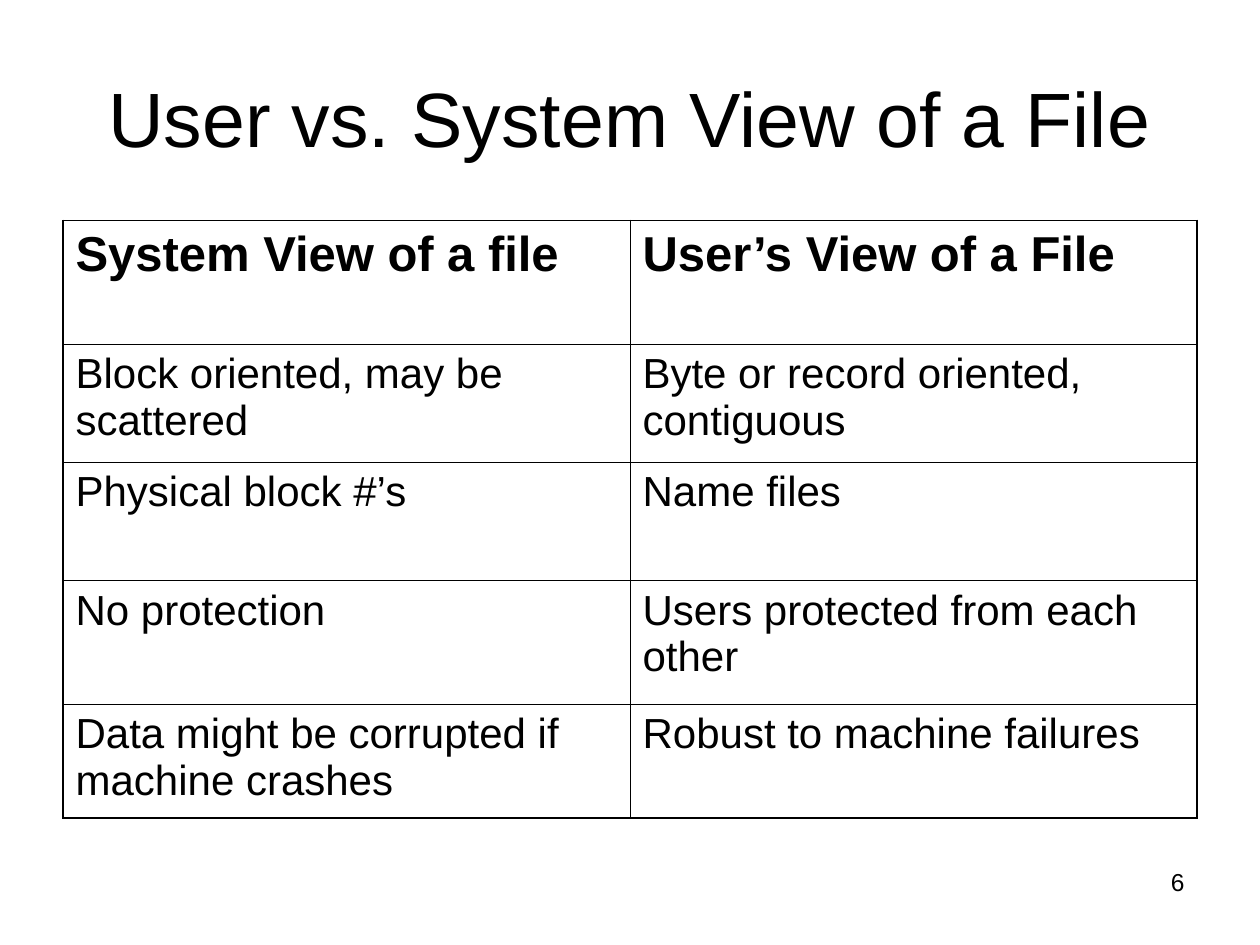
from lxml import etree
from pptx import Presentation
from pptx.dml.color import RGBColor
from pptx.enum.text import MSO_ANCHOR as ANCHOR, PP_ALIGN as ALIGN
from pptx.oxml.ns import qn
from pptx.util import Inches, Pt

BLACK = "000000"
THIN, THICK = 0.45, 1.08
ROW_HEIGHTS = [0.98, 0.94, 0.94, 0.98, 0.9]
VIEWS = [
    ("System View of a file", "User’s View of a File"),
    ("Block oriented, may be scattered", "Byte or record oriented, contiguous"),
    ("Physical block #’s", "Name files"),
    ("No protection", "Users protected from each other"),
    ("Data might be corrupted if machine crashes", "Robust to machine failures"),
]


def color(hex_value):
    return RGBColor.from_string(hex_value)


def write(tf, text, align=ALIGN.LEFT, **font):
    p = tf.paragraphs[0]
    p.alignment = align
    r = p.add_run()
    r.text = text
    for name, value in {"name": "Arial", **font}.items():
        setattr(r.font, name, value)
    r.font.color.rgb = color(BLACK)


def add_text(slide, box, text, size, align, anchor=ANCHOR.TOP):
    tf = slide.shapes.add_textbox(*map(Inches, box)).text_frame
    tf.word_wrap = True
    tf.vertical_anchor = anchor
    write(tf, text, align, size=Pt(size))


def set_borders(cell, widths):
    """Draw the sides of a cell; widths maps L, R, T, B, in that order, to points."""
    tc_pr = cell._tc.get_or_add_tcPr()
    for side, width in widths.items():
        ln = etree.SubElement(tc_pr, qn(f"a:ln{side}"), w=str(Pt(width)))
        fill = etree.SubElement(ln, qn("a:solidFill"))
        etree.SubElement(fill, qn("a:srgbClr"), val=BLACK)


def add_comparison(slide, box, rows, heights):
    """Add a table with a bold header, thick outer borders and thin inner ones."""
    n_rows, n_cols = len(rows), len(rows[0])
    table = slide.shapes.add_table(n_rows, n_cols, *map(Inches, box)).table
    table.first_row = table.horz_banding = False
    for col in table.columns:
        col.width = Inches(box[2] / n_cols)
    for i, (texts, height) in enumerate(zip(rows, heights)):
        table.rows[i].height = Inches(height)
        header = i == 0
        for j, text in enumerate(texts):
            cell = table.cell(i, j)
            outer = {"L": j == 0, "R": j == n_cols - 1,
                     "T": header, "B": i == n_rows - 1}
            set_borders(cell, {side: THICK if edge else THIN
                               for side, edge in outer.items()})
            cell.fill.background()
            write(cell.text_frame, text, size=Pt(28 if header else 24), bold=header)


def main():
    prs = Presentation()
    prs.slide_width, prs.slide_height = Inches(10), Inches(7.5)
    slide = prs.slides.add_slide(prs.slide_layouts[6])
    add_text(slide, (7.17, 6.83, 2.33, 0.52), "6", 14, ALIGN.RIGHT)
    add_text(slide, (0.5, 0.3, 9, 1.25), "User vs. System View of a File", 44,
             ALIGN.CENTER, ANCHOR.MIDDLE)
    add_comparison(slide, (0.5, 1.75, 9, 4.75), VIEWS, ROW_HEIGHTS)
    prs.save("out.pptx")


if __name__ == "__main__":
    main()
